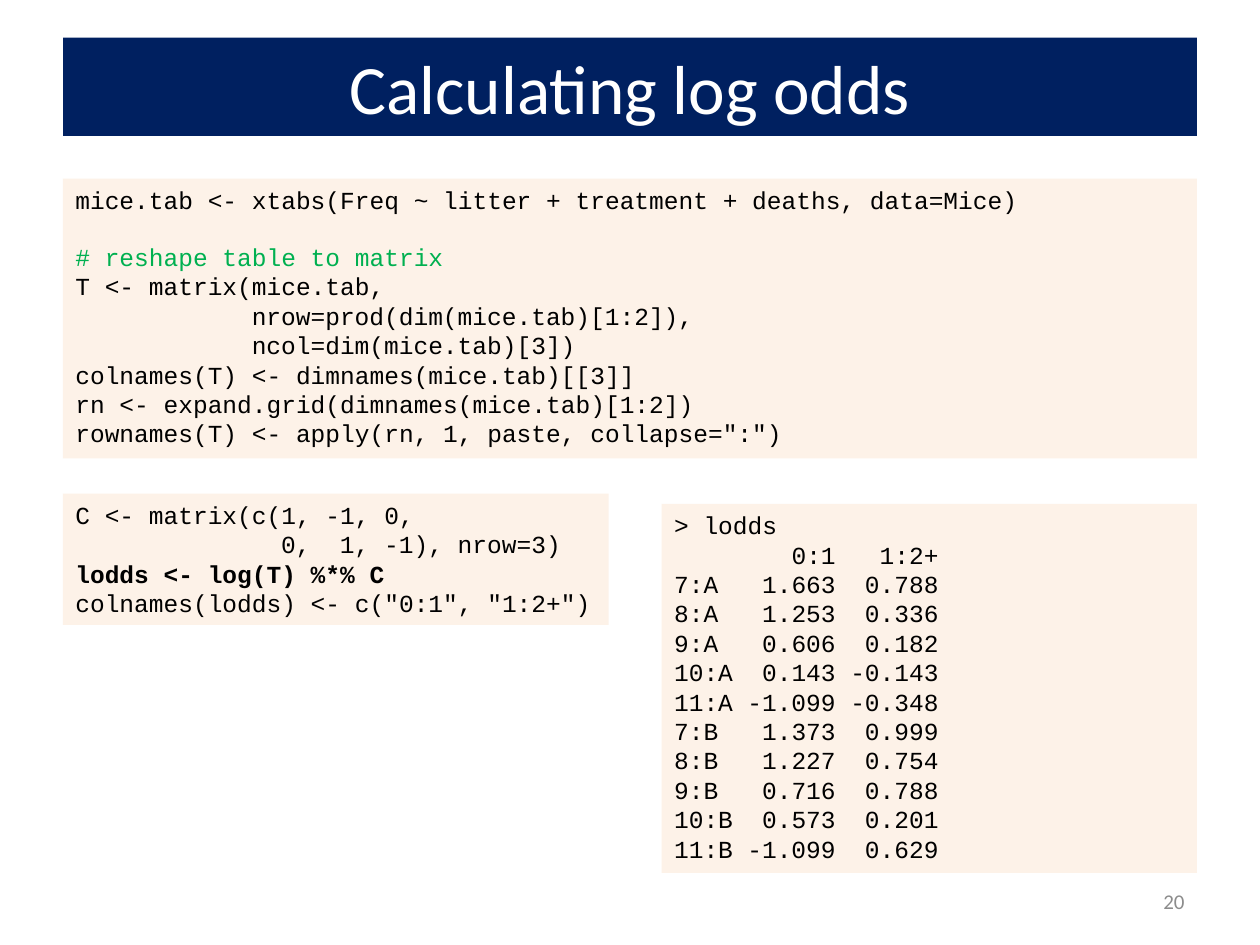
from dataclasses import dataclass

from lxml.etree import SubElement
from pptx import Presentation
from pptx.dml.color import RGBColor as Color
from pptx.enum.shapes import MSO_SHAPE as Shape
from pptx.enum.text import MSO_ANCHOR as Anchor, PP_ALIGN as Align
from pptx.oxml.ns import qn
from pptx.util import Cm, Pt


@dataclass(frozen=True)
class Theme:
    navy: Color = Color(0x00, 0x20, 0x60)
    cream: Color = Color(0xFD, 0xEA, 0xDA)
    green: Color = Color(0x00, 0xB0, 0x50)
    black: Color = Color(0, 0, 0)
    white: Color = Color(255, 255, 255)
    grey: Color = Color(0x8C, 0x8C, 0x8C)
    cream_alpha: int = 60
    text_font: str = "Calibri"
    code_font: str = "Courier New"
    title_size: float = 39.6
    code_size: float = 14
    number_size: float = 12


@dataclass(frozen=True)
class Line:
    text: str
    indent: int = 0
    bold: bool = False
    comment: bool = False
    gap_before: bool = False


THEME = Theme()
CHAR_WIDTH = THEME.code_size * 0.6
LINE_HEIGHT = THEME.code_size * 1.13
LEFT, WIDTH = 1.27, 22.86

RESHAPE_CODE = [
    Line("mice.tab <- xtabs(Freq ~ litter + treatment + deaths, data=Mice)"),
    Line("# reshape table to matrix", comment=True, gap_before=True),
    Line("T <- matrix(mice.tab,"),
    Line("nrow=prod(dim(mice.tab)[1:2]),", indent=12),
    Line("ncol=dim(mice.tab)[3])", indent=12),
    Line("colnames(T) <- dimnames(mice.tab)[[3]]"),
    Line("rn <- expand.grid(dimnames(mice.tab)[1:2])"),
    Line('rownames(T) <- apply(rn, 1, paste, collapse=":")'),
]
CONTRAST_CODE = [
    Line("C <- matrix(c(1, -1, 0,"),
    Line("0,  1, -1), nrow=3)", indent=14),
    Line("lodds <- log(T) %*% C", bold=True),
    Line('colnames(lodds) <- c("0:1", "1:2+")'),
]
LOG_ODDS = [
    ("7:A", 1.663, 0.788), ("8:A", 1.253, 0.336), ("9:A", 0.606, 0.182),
    ("10:A", 0.143, -0.143), ("11:A", -1.099, -0.348),
    ("7:B", 1.373, 0.999), ("8:B", 1.227, 0.754), ("9:B", 0.716, 0.788),
    ("10:B", 0.573, 0.201), ("11:B", -1.099, 0.629),
]
OUTPUT = [Line("> lodds"), Line("\t0:1\t1:2+")] + [
    Line(f"{name}\t{first:.3f}\t{second:.3f}") for name, first, second in LOG_ODDS
]
OUTPUT_COLUMN_ENDS = (11, 18)


def place(item, left, top, width, height):
    item.left, item.top = Cm(left), Cm(top)
    item.width, item.height = Cm(width), Cm(height)


def add_run(para, text, font, size, color, bold=False):
    run = para.add_run()
    run.text = text
    run.font.name = font
    run.font.size = Pt(size)
    run.font.color.rgb = color
    run.font.bold = bold


def set_title(page, text):
    title = page.shapes.title
    place(title, LEFT, 0.76, WIDTH, 1.98)
    title.fill.solid()
    title.fill.fore_color.rgb = THEME.navy
    title.text_frame.vertical_anchor = Anchor.MIDDLE
    para = title.text_frame.paragraphs[0]
    para.alignment = Align.CENTER
    add_run(para, text, THEME.text_font, THEME.title_size, THEME.white)


def fill_cream(box):
    box.fill.solid()
    box.fill.fore_color.rgb = THEME.cream
    color = box.fill._xPr.find(qn("a:solidFill"))[0]
    SubElement(color, qn("a:alpha"), val=str(THEME.cream_alpha * 1000))


def add_right_tabs(para, column_ends):
    stops = SubElement(para._p.get_or_add_pPr(), qn("a:tabLst"))
    for end in column_ends:
        SubElement(stops, qn("a:tab"), pos=str(Pt(end * CHAR_WIDTH)), algn="r")


def write_line(para, line, column_ends):
    para.alignment = Align.LEFT
    if line.indent:
        para._p.get_or_add_pPr().set("marL", str(Pt(line.indent * CHAR_WIDTH)))
    if line.gap_before:
        para.space_before = Pt(LINE_HEIGHT)
    if column_ends:
        add_right_tabs(para, column_ends)
    color = THEME.green if line.comment else THEME.black
    add_run(para, line.text, THEME.code_font, THEME.code_size, color, line.bold)


def add_code_box(page, left, top, width, height, lines, column_ends=()):
    box = page.shapes.add_shape(Shape.RECTANGLE, Cm(left), Cm(top), Cm(width), Cm(height))
    box.shadow.inherit = False
    box.line.fill.background()
    fill_cream(box)
    frame = box.text_frame
    frame.word_wrap = True
    frame.vertical_anchor = Anchor.TOP
    for index, line in enumerate(lines):
        para = frame.add_paragraph() if index else frame.paragraphs[0]
        write_line(para, line, column_ends)


def add_page_number(page, number):
    box = page.shapes.add_textbox(Cm(18.21), Cm(17.65), Cm(5.92), Cm(1.02))
    frame = box.text_frame
    frame.word_wrap = True
    frame.vertical_anchor = Anchor.MIDDLE
    para = frame.paragraphs[0]
    para.alignment = Align.RIGHT
    add_run(para, number, THEME.text_font, THEME.number_size, THEME.grey)


def main():
    deck = Presentation()
    deck.slide_width, deck.slide_height = Cm(25.4), Cm(19.05)
    page = deck.slides.add_slide(deck.slide_layouts[5])
    set_title(page, "Calculating log odds")
    add_code_box(page, LEFT, 3.6, WIDTH, 5.64, RESHAPE_CODE)
    add_code_box(page, LEFT, 9.95, 11, 2.65, CONTRAST_CODE)
    add_code_box(page, 13.34, 10.16, 10.79, 7.44, OUTPUT, OUTPUT_COLUMN_ENDS)
    add_page_number(page, "20")
    deck.save("out.pptx")


if __name__ == "__main__":
    main()
